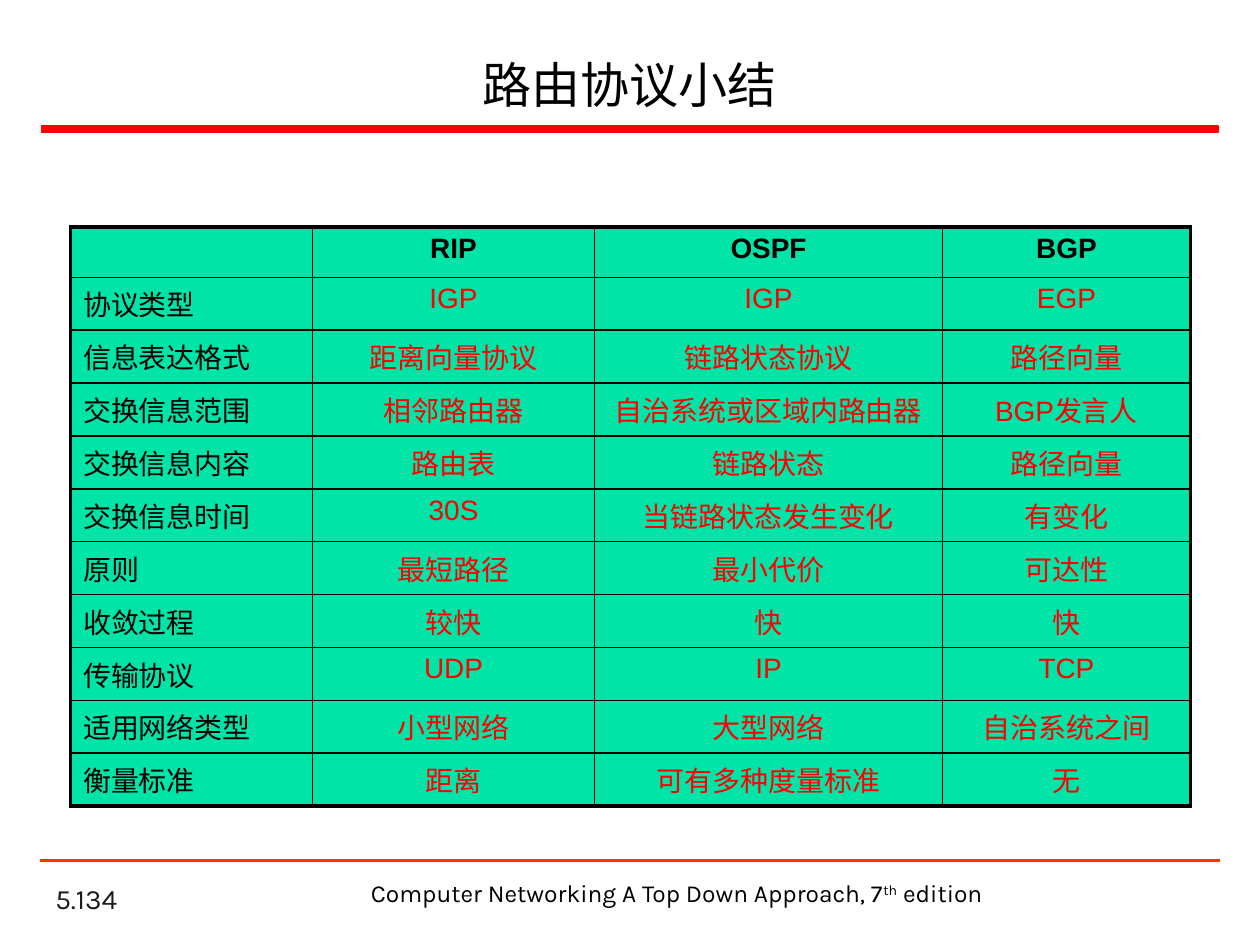
from dataclasses import dataclass

from lxml import etree
from pptx import Presentation
from pptx.dml.color import RGBColor
from pptx.enum.shapes import MSO_CONNECTOR, MSO_SHAPE
from pptx.enum.text import MSO_ANCHOR, PP_ALIGN
from pptx.oxml.ns import qn
from pptx.slide import Slide
from pptx.table import _Cell
from pptx.text.text import TextFrame
from pptx.util import Inches, Pt

LEFT, CENTER = PP_ALIGN.LEFT, PP_ALIGN.CENTER
TOP, BOTTOM = MSO_ANCHOR.TOP, MSO_ANCHOR.BOTTOM
RECTANGLE, STRAIGHT = MSO_SHAPE.RECTANGLE, MSO_CONNECTOR.STRAIGHT

BLACK = RGBColor(0x00, 0x00, 0x00)
CHARCOAL = RGBColor(0x1C, 0x1C, 0x1C)
RED = RGBColor(0xFF, 0x00, 0x00)
ORANGE_RED = RGBColor(0xFF, 0x33, 0x00)
GREEN = RGBColor(0x00, 0xE4, 0xA8)

CHINESE_FONT = "Noto Sans CJK SC"
INNER_BORDER, OUTER_BORDER = Pt(1), Pt(2.25)
COLUMN_WIDTHS = (1.92, 2.24, 2.76, 1.97)
HEADER_HEIGHT, ROW_HEIGHT = 0.4, 0.42

PROTOCOL_ROWS = (
    ("", "RIP", "OSPF", "BGP"),
    ("协议类型", "IGP", "IGP", "EGP"),
    ("信息表达格式", "距离向量协议", "链路状态协议", "路径向量"),
    ("交换信息范围", "相邻路由器", "自治系统或区域内路由器", "BGP发言人"),
    ("交换信息内容", "路由表", "链路状态", "路径向量"),
    ("交换信息时间", "30S", "当链路状态发生变化", "有变化"),
    ("原则", "最短路径", "最小代价", "可达性"),
    ("收敛过程", "较快", "快", "快"),
    ("传输协议", "UDP", "IP", "TCP"),
    ("适用网络类型", "小型网络", "大型网络", "自治系统之间"),
    ("衡量标准", "距离", "可有多种度量标准", "无"),
)


@dataclass(frozen=True)
class Box:
    """Position and size in inches."""

    left: float
    top: float
    width: float
    height: float

    def lengths(self) -> tuple[Inches, ...]:
        """Return the box as slide lengths."""
        return tuple(map(Inches, (self.left, self.top, self.width, self.height)))


def write_text(frame: TextFrame, text: str, *, size: float, font: str = "Arial",
               color: RGBColor = BLACK, bold: bool = False,
               align: PP_ALIGN = LEFT, superscript: bool = False) -> None:
    """Append one formatted run to the first paragraph of a text frame."""
    paragraph = frame.paragraphs[0]
    paragraph.alignment = align
    run = paragraph.add_run()
    run.text = text
    run.font.size = Pt(size)
    run.font.bold = bold
    run.font.color.rgb = color
    run.font.name = font
    properties = run._r.get_or_add_rPr()
    etree.SubElement(properties, qn("a:ea"), typeface=CHINESE_FONT)
    if superscript:
        properties.set("baseline", "30000")


def add_text_frame(slide: Slide, box: Box, anchor: MSO_ANCHOR = TOP) -> TextFrame:
    """Add a wrapping text box and return its text frame."""
    frame = slide.shapes.add_textbox(*box.lengths()).text_frame
    frame.word_wrap = True
    frame.vertical_anchor = anchor
    return frame


def add_title_bar(slide: Slide, box: Box) -> None:
    """Draw the solid bar below the title."""
    shape = slide.shapes.add_shape(RECTANGLE, *box.lengths())
    shape.shadow.inherit = False
    shape.fill.solid()
    shape.fill.fore_color.rgb = RED
    shape.line.color.rgb = RED
    shape.line.width = Pt(1)


def add_footer_line(slide: Slide, left: float, right: float, top: float) -> None:
    """Draw the thin line above the footer."""
    connector = slide.shapes.add_connector(
        STRAIGHT, Inches(left), Inches(top), Inches(right), Inches(top))
    connector.line.color.rgb = ORANGE_RED
    connector.line.width = Pt(1.5)
    etree.SubElement(connector._element.spPr, qn("a:effectLst"))


def set_borders(cell: _Cell, outer_sides: dict[str, bool]) -> None:
    """Give a cell black borders, heavier on the outer sides of the table."""
    properties = cell._tc.get_or_add_tcPr()
    for side, is_outer in outer_sides.items():
        width = OUTER_BORDER if is_outer else INNER_BORDER
        line = etree.SubElement(properties, qn(f"a:ln{side}"), w=str(int(width)))
        fill = etree.SubElement(line, qn("a:solidFill"))
        etree.SubElement(fill, qn("a:srgbClr"), val=str(BLACK))


def add_protocol_table(slide: Slide, left: float, top: float) -> None:
    """Draw the comparison of routing protocols."""
    last_row, last_column = len(PROTOCOL_ROWS) - 1, len(COLUMN_WIDTHS) - 1
    box = Box(left, top, sum(COLUMN_WIDTHS), HEADER_HEIGHT + last_row * ROW_HEIGHT)
    table = slide.shapes.add_table(last_row + 1, last_column + 1, *box.lengths()).table
    table.first_row = table.horz_banding = False
    for column, width in zip(table.columns, COLUMN_WIDTHS):
        column.width = Inches(width)
    for row_index, texts in enumerate(PROTOCOL_ROWS):
        is_header = row_index == 0
        table.rows[row_index].height = Inches(HEADER_HEIGHT if is_header else ROW_HEIGHT)
        for column_index, text in enumerate(texts):
            is_label = column_index == 0
            cell = table.cell(row_index, column_index)
            set_borders(cell, {"L": is_label, "R": column_index == last_column,
                               "T": is_header, "B": row_index == last_row})
            cell.fill.solid()
            cell.fill.fore_color.rgb = GREEN
            if text:
                write_text(cell.text_frame, text, size=16, bold=is_header,
                           color=BLACK if is_header or is_label else RED,
                           align=LEFT if is_label else CENTER)


def main() -> None:
    """Build and save the slide."""
    presentation = Presentation()
    presentation.slide_width, presentation.slide_height = Inches(10), Inches(7.5)
    slide = presentation.slides.add_slide(presentation.slide_layouts[6])

    number = add_text_frame(slide, Box(0.34, 6.98, 2.08, 0.33), BOTTOM)
    write_text(number, "5.134", size=16, font="Karla", color=CHARCOAL)
    add_title_bar(slide, Box(0.33, 1, 9.34, 0.05))
    add_footer_line(slide, 0.32, 9.68, 6.83)

    footer = add_text_frame(slide, Box(2.83, 6.92, 5.08, 0.34))
    for text in ("Computer Networking A Top Down Approach, 7", "th", " edition"):
        write_text(footer, text, size=14, font="Karla", align=CENTER,
                   superscript=text == "th")

    title = add_text_frame(slide, Box(0.37, 0.25, 9.25, 0.7), BOTTOM)
    write_text(title, "路由协议小结", size=28, font=CHINESE_FONT, align=CENTER)
    add_protocol_table(slide, 0.56, 1.8)
    presentation.save("out.pptx")


if __name__ == "__main__":
    main()
